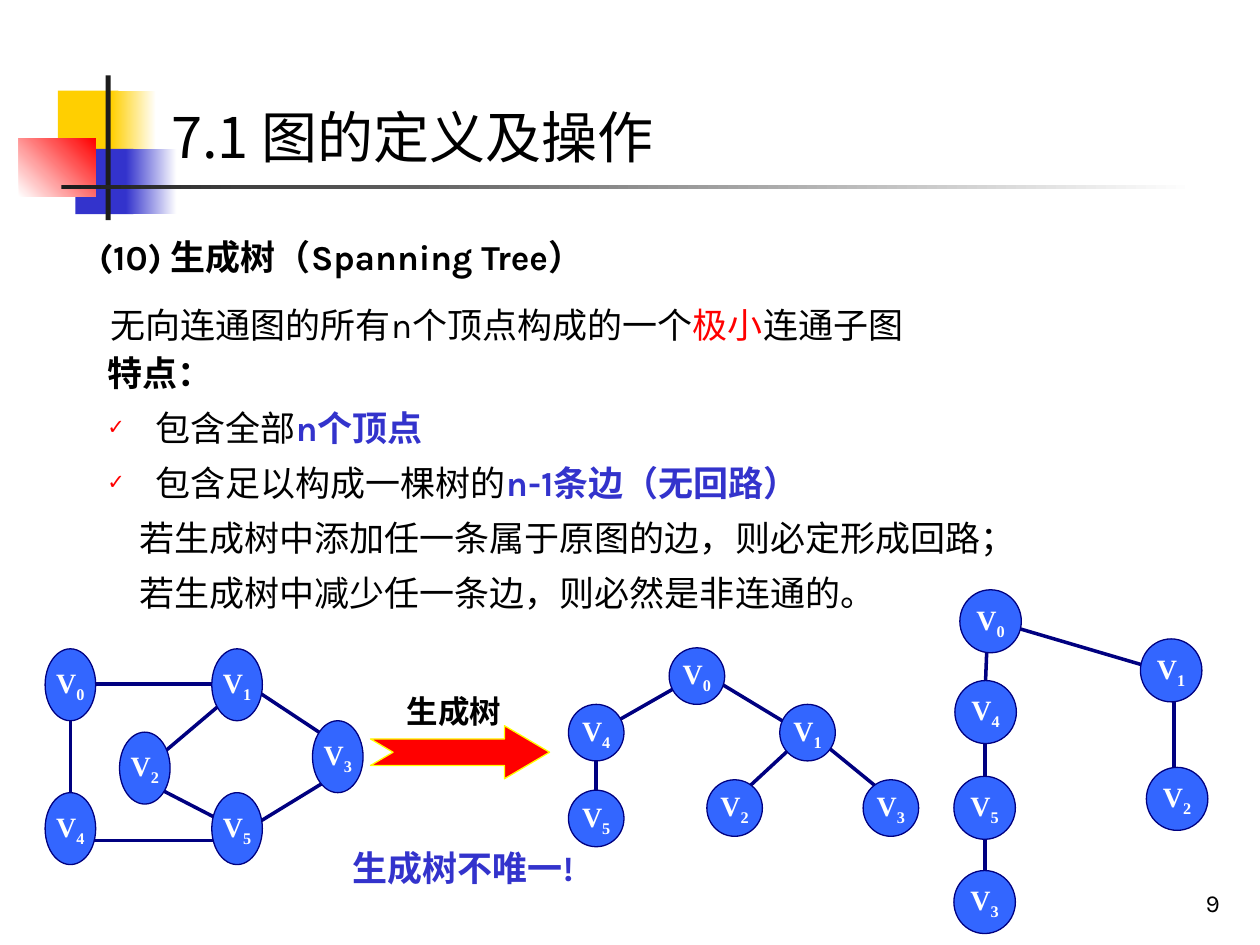
"""Build the slide that explains spanning trees of a connected graph."""
from lxml import etree
from pptx import Presentation
from pptx import util as u
from pptx.dml.color import RGBColor
from pptx.enum import shapes, text
from pptx.oxml.ns import qn

THEME = {
    "black": "000000", "white": "FFFFFF", "red": "FF0000", "blue": "3333CC",
    "yellow": "FFCF01", "ink": "1C1C1C", "node": "3366FF", "edge": "000080", "trim": "FFFF00",
    "heading": 32, "body": 20, "label": 18, "vertex": 16, "number": 14,
    "sans": "Karla", "han": "Noto Sans CJK JP", "serif": "Times New Roman",
}

DECORATION = [
    ((1.17, 1.83, 1.22, 1.32), ["yellow"], 0),
    ((2.24, 1.83, 0.91, 1.32), ["yellow", "white"], 0),
    ((1.52, 3, 1.17, 1.32), ["blue"], 0),
    ((2.54, 3, 1.02, 1.32), ["blue", "white"], 0),
    ((0.38, 2.79, 1.55, 1.17), ["white", "red"], 45),
    ((2.13, 1.52, 0.1, 2.92), ["ink"], 0),
    ((1.24, 3.73, 22.86, 0.08), ["ink", "white"], 0),
]

TITLE = [[("7.1 图的定义及操作", "black", False)]]
HEADING = [[("(10) 生成树（Spanning Tree）", "black", True)]]
DEFINITION = [[("无向连通图的所有n个顶点构成的一个", "black", False),
               ("极小", "red", False), ("连通子图", "black", False)]]
FEATURES = [
    [("特点：", "black", True)],
    [("包含全部", "black", False), ("n个顶点", "blue", True)],
    [("包含足以构成一棵树的", "black", False), ("n-1条边（无回路）", "blue", True)],
    [("若生成树中添加任一条属于原图的边，则必定形成回路；", "black", False)],
    [("若生成树中减少任一条边，则必然是非连通的。", "black", False)],
]
FEATURE_INDENTS = [(0, 0), (0.97, -0.97), (0.97, -0.97), (0.64, 0), (0.64, 0)]
ARROW_LABEL = [[("生成树", "black", True)]]
REMARK = [[("生成树不唯一!", "blue", True)]]
NUMBER = [[("9", "black", False)]]

GRAPHS = [
    {"size": (1.02, 1.45),
     "nodes": [("0", 0.91, 13.08), ("2", 2.41, 14.76), ("3", 6.3, 14.53),
               ("5", 4.27, 15.98), ("1", 4.27, 13.08), ("4", 0.91, 15.98)],
     "edges": [(1.57, 13.79, 4.62, 13.79), (1.42, 13.79, 1.42, 16.94),
               (2.92, 15.49, 4.62, 14.05), (4.62, 13.56, 6.81, 15.01),
               (2.92, 15.75, 4.78, 16.71), (6.99, 15.49, 4.62, 16.94),
               (1.57, 16.94, 4.62, 16.94)]},
    {"size": (1.12, 1.14),
     "nodes": [("0", 13.49, 13.06), ("2", 14.25, 15.72), ("3", 17.4, 15.72),
               ("5", 11.46, 15.93), ("1", 15.72, 14.2), ("4", 11.46, 14.2)],
     "edges": [(14.25, 13.61, 16.48, 14.96), (13.69, 13.82, 12.01, 14.78),
               (14.43, 16.48, 16.48, 14.58), (16.1, 14.58, 17.96, 16.1),
               (12.01, 14.96, 12.01, 16.48)]},
    {"size": (1.24, 1.27),
     "nodes": [("0", 19.35, 11.89), ("2", 23.11, 15.47), ("3", 19.23, 17.55),
               ("5", 19.23, 15.65), ("1", 22.99, 12.88), ("4", 19.25, 13.72)],
     "edges": [(20.37, 12.62, 23.39, 13.51), (19.89, 13.16, 19.86, 13.92),
               (23.67, 15.57, 23.67, 14.15), (19.86, 14.96, 19.86, 15.65),
               (19.86, 16.92, 19.86, 17.6)]},
]


def color(name):
    return RGBColor.from_string(THEME[name])


def cm(values):
    return [u.Cm(value) for value in values]


def apply(target, values):
    for name, value in values.items():
        setattr(target, name, value)


def add_span(para, content, tint, bold, size, face):
    span = para.add_run()
    span.text = content
    apply(span.font, {"size": u.Pt(THEME[size]), "name": THEME[face], "bold": bold})
    span.font.color.rgb = color(tint)
    properties = span._r.get_or_add_rPr()
    etree.SubElement(properties, qn("a:ea"), typeface=THEME["han"])
    properties.find(qn("a:latin")).addnext(properties.find(qn("a:ea")))
    return span


def write(box, paragraphs, size="body", face="sans", anchor="TOP", align="LEFT", spacing=1.0):
    frame = box.text_frame
    apply(frame, {"word_wrap": True, "auto_size": text.MSO_AUTO_SIZE.NONE,
                  "vertical_anchor": getattr(text.MSO_ANCHOR, anchor)})
    for index, spans in enumerate(paragraphs):
        para = frame.add_paragraph() if index else frame.paragraphs[0]
        apply(para, {"alignment": getattr(text.PP_ALIGN, align), "line_spacing": spacing,
                     "space_before": u.Pt(5 if index else 0)})
        for content, tint, bold in spans:
            add_span(para, content, tint, bold, size, face)


def add_text(page, place, paragraphs, **style):
    write(page.shapes.add_textbox(*cm(place)), paragraphs, **style)


def fill_placeholder(box, place, paragraphs, **style):
    box.element.getparent().append(box.element)
    apply(box, dict(zip(("left", "top", "width", "height"), cm(place))))
    write(box, paragraphs, **style)


def set_indent(para, margin, hanging):
    properties = para._p.get_or_add_pPr()
    properties.set("marL", str(u.Cm(margin)))
    properties.set("indent", str(u.Cm(hanging)))
    if not hanging:
        etree.SubElement(properties, qn("a:buNone"))
        return
    tint = etree.SubElement(properties, qn("a:buClr"))
    etree.SubElement(tint, qn("a:srgbClr"), val=THEME["red"])
    etree.SubElement(properties, qn("a:buSzPct"), val="60000")
    etree.SubElement(properties, qn("a:buChar"), char="✓")


def add_shape(parent, kind, place, fills, angle=0, outline=None):
    shape = parent.shapes.add_shape(kind, *cm(place))
    shape.shadow.inherit = False
    if len(fills) == 1:
        shape.fill.solid()
        shape.fill.fore_color.rgb = color(fills[0])
    else:
        shape.fill.gradient()
        shape.fill.gradient_angle = angle
        for stop, name in zip(shape.fill.gradient_stops, fills):
            stop.color.rgb = color(name)
    if outline:
        shape.line.color.rgb = color(outline)
        shape.line.width = u.Pt(0.75)
    else:
        shape.line.fill.background()
    return shape


def add_graph(page, graph):
    group = page.shapes.add_group_shape()
    for ends in graph["edges"]:
        edge = group.shapes.add_connector(shapes.MSO_CONNECTOR.STRAIGHT, *cm(ends))
        edge.line.color.rgb = color("edge")
        edge.line.width = u.Pt(2)
        etree.SubElement(edge.element.spPr, qn("a:effectLst"))
    for digit, left, top in graph["nodes"]:
        node = add_shape(group, shapes.MSO_SHAPE.OVAL, (left, top, *graph["size"]),
                         ["node"], outline="edge")
        write(node, [[("V", "white", True), (digit, "white", True)]], size="vertex",
              face="serif", anchor="MIDDLE", align="CENTER")
        node.text_frame.word_wrap = False
        subscript = node.text_frame.paragraphs[0].runs[1]
        subscript._r.get_or_add_rPr().set("baseline", "-25000")


def main():
    deck = Presentation()
    apply(deck, {"slide_width": u.Cm(25.4), "slide_height": u.Cm(19.05)})
    page = deck.slides.add_slide(deck.slide_layouts[1])
    for place, fills, angle in DECORATION:
        add_shape(page, shapes.MSO_SHAPE.RECTANGLE, place, fills, angle)
    fill_placeholder(page.shapes.title, (3.2, 1.93, 22.2, 1.63), TITLE, size="heading", face="han")
    add_text(page, (1.75, 4.45, 19.99, 1.47), HEADING, align="JUSTIFY", spacing=1.2)
    add_text(page, (1.98, 5.82, 22.23, 1.6), DEFINITION, align="JUSTIFY", spacing=1.2)
    body = page.placeholders[1]
    fill_placeholder(body, (1.91, 6.88, 22.61, 5.94), FEATURES, align="JUSTIFY", spacing=1.1)
    for para, indent in zip(body.text_frame.paragraphs, FEATURE_INDENTS):
        set_indent(para, *indent)
    for graph in GRAPHS:
        add_graph(page, graph)
    arrow = add_shape(page, shapes.MSO_SHAPE.NOTCHED_RIGHT_ARROW, (7.47, 14.63, 3.61, 1.07),
                      ["red"], outline="trim")
    arrow.adjustments[1] = 0.85
    add_text(page, (7.95, 13.82, 2.67, 1.02), ARROW_LABEL, size="label", anchor="BOTTOM")
    add_text(page, (6.86, 16.92, 5.99, 1.12), REMARK, anchor="BOTTOM")
    add_text(page, (19.56, 17.35, 5.28, 1.27), NUMBER, size="number", anchor="BOTTOM", align="RIGHT")
    deck.save("out.pptx")


if __name__ == "__main__":
    main()
